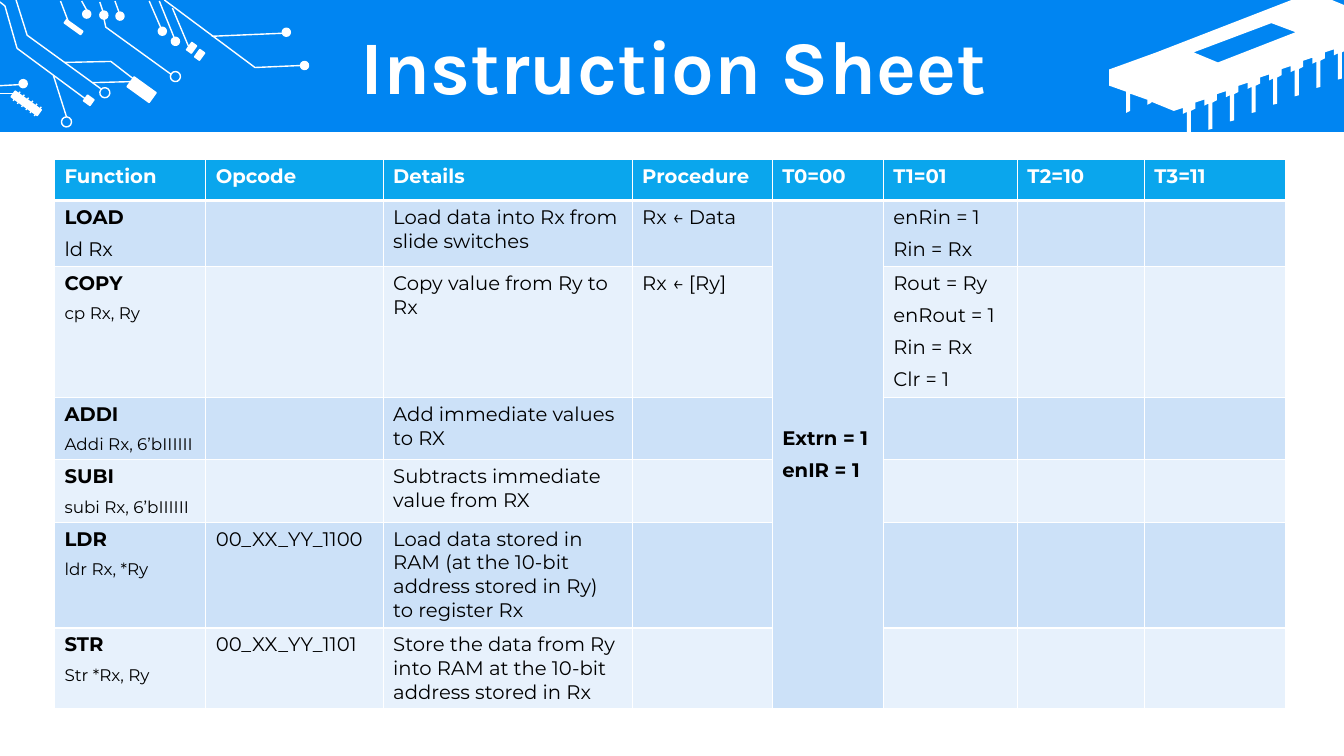
from dataclasses import dataclass
from typing import Any

from lxml import etree
from pptx import Presentation
from pptx import util as u
from pptx.dml.color import RGBColor
from pptx.enum import shapes, text
from pptx.oxml import ns

WHITE = RGBColor(0xFF, 0xFF, 0xFF)
BLACK = RGBColor(0x00, 0x00, 0x00)
BANNER_BLUE = RGBColor(0x00, 0x85, 0xF2)
HEADER_BLUE = RGBColor(0x0A, 0xA6, 0xED)
BAND_DARK = RGBColor(0xCC, 0xE1, 0xF8)
BAND_LIGHT = RGBColor(0xE7, 0xF1, 0xFC)

GRID_COLUMNS, GRID_ROWS = 133.3, 75
GRID_STEP = u.Inches(0.1)
TILT = 35.7
RECTANGLE, OVAL = shapes.MSO_SHAPE.RECTANGLE, shapes.MSO_SHAPE.OVAL
Point = tuple[float, float]


@dataclass(frozen=True)
class Part:
    kind: shapes.MSO_SHAPE
    column: float
    row: float
    columns: float
    rows: float
    fill: RGBColor | None = WHITE
    line: RGBColor | None = WHITE
    rotation: float = TILT


@dataclass(frozen=True)
class Instruction:
    name: str
    syntax: str
    opcode: str
    details: str
    procedure: str
    steps: tuple[str, ...]
    rows: float
    syntax_size: int = 12


@dataclass(frozen=True)
class Line:
    words: str
    size: int = 14
    bold: bool = False
    color: RGBColor = BLACK


BANNER = Part(RECTANGLE, 0, 0, GRID_COLUMNS, 13.1, BANNER_BLUE, None, 0)
PADS = [(29.8, 6.1), (28, 2.8), (8.2, 1), (9.9, 1.1), (11.5, 1.2),
        (1.9, 7.9), (17, 3.7), (15.7, 2.7)]
RINGS = [(16.9, 7.1), (9.9, 8.7), (6.1, 11.6)]
BLOCKS = [(12.7, 8.3, 2.7, 1.2), (6.3, 2.5, 2, 0.4), (8.4, 9.6, 0.8, 0.7),
          (18.7, 4.3, 0.6, 0.9), (19.5, 5, 0.6, 0.9), (1, 9.9, 3.2, 0.7)]
PARTS = ([Part(RECTANGLE, *block) for block in BLOCKS]
         + [Part(OVAL, *pad, 0.8, 0.8) for pad in PADS]
         + [Part(OVAL, *ring, 1, 1, None) for ring in RINGS])

WIRES = [((6, 0.1), (6.8, 2.2)), ((8.1, 0.1), (8.6, 1)), ((9.9, 0.2), (10.2, 1.1)),
         ((11.4, 0.1), (11.8, 1.2)), ((14.8, 0.1), (16.1, 3.1)),
         ((15.8, 0.1), (17.3, 3.8)), ((21, 3.6), (28, 3.3)), ((17.1, 0.8), (18.7, 4.6)),
         ((0, 8.5), (1.9, 8.4)), ((0, 9.3), (1.4, 9.3)), ((5.3, 7.5), (6.6, 11.6)),
         ((9.2, 8.2), (13, 8.1))]
COIL_TURNS = [((1.3 + 0.42 * turn, 10 + 0.3 * turn), (2 + 0.42 * turn, 9.1 + 0.3 * turn))
              for turn in range(6)]
TRACES = [[(16.3, 0), (25.3, 6.7), (29.9, 6.5)],
          [(1.6, 0), (2.7, 3.5), (10, 8.8)],
          [(0, 0.2), (0.5, 0.6), (1.7, 4.8), (8.6, 9.9)],
          [(6.4, 6.2), (11, 6.1), (13.2, 7.8)],
          [(10.3, 1.8), (10.5, 2.7), (17, 7.4)]]

CHIP_WINDOW = [(126.1, 2.3), (118.4, 5.2), (120.8, 6.2), (128.5, 3.2)]
CHIP_TOP = [(114.7, 5.2), (128.1, 0), (132.1, 0), (133.3, 0.5), (133.3, 5.1)]
CHIP_PIN = [(133.1, 5.2), (133.1, 7.8), (132.7, 7.9), (132.7, 5.3),
            (132.3, 5.5), (132.3, 4.9), (131.4, 5.2), (131.4, 5.8)]
CHIP_PINS = [(x - 2.14 * pin, y + 0.83 * pin) for pin in range(8) for x, y in CHIP_PIN][:-1]
CHIP_END = [(114.2, 10.1), (114.2, 10.2), (113.8, 10.4), (113.8, 9.9), (112.1, 9.3),
            (112.1, 11), (111.7, 11.2), (111.7, 9.1), (110, 8.5), (110, 6.9)]

TABLE_COLUMNS = {"Function": 15, "Opcode": 17.6, "Details": 24.7, "Procedure": 13.9,
                 "T0=00": 11, "T1=01": 13.3, "T2=10": 12.6, "T3=11": 14}
HEADER_ROWS = 4.1
FETCH_COLUMN = 4
FETCH_STEPS = ("Extrn = 1", "enIR = 1")
INSTRUCTIONS = [
    Instruction("LOAD", "ld Rx", "", "Load data into Rx from slide switches", "Rx ← Data",
                ("enRin = 1", "Rin = Rx"), 6.5, 14),
    Instruction("COPY", "cp Rx, Ry", "", "Copy value from Ry to Rx", "Rx ← [Ry]",
                ("Rout = Ry", "enRout = 1", "Rin = Rx", "Clr = 1"), 13),
    Instruction("ADDI", "Addi Rx, 6’bIIIIII", "", "Add immediate values to RX", "", (), 6.2),
    Instruction("SUBI", "subi Rx, 6’bIIIIII", "", "Subtracts immediate value from RX",
                "", (), 6.2),
    Instruction("LDR", "ldr Rx, *Ry", "00_XX_YY_1100",
                "Load data stored in RAM (at the 10-bit address stored in Ry) to register Rx",
                "", (), 10.5),
    Instruction("STR", "Str *Rx, Ry", "00_XX_YY_1101",
                "Store the data from Ry into RAM at the 10-bit address stored in Rx",
                "", (), 8),
]


def grid(*cells: float) -> list[u.Emu]:
    return [u.Emu(round(cell * GRID_STEP)) for cell in cells]


def apply_format(target: Any, values: dict[str, Any]) -> None:
    for name, value in values.items():
        setattr(target, name, value)


def paint(shape: Any, fill: RGBColor | None, line: RGBColor | None) -> None:
    shape.shadow.inherit = False
    if fill is None:
        shape.fill.background()
    else:
        shape.fill.solid()
        shape.fill.fore_color.rgb = fill
    if line is None:
        shape.line.fill.background()
    else:
        shape.line.color.rgb = line
        shape.line.width = u.Pt(1)


def draw_part(slide: Any, part: Part) -> None:
    place = grid(part.column, part.row, part.columns, part.rows)
    shape = slide.shapes.add_shape(part.kind, *place)
    shape.rotation = part.rotation
    paint(shape, part.fill, part.line)


def draw_wire(slide: Any, start: Point, end: Point) -> None:
    wire = slide.shapes.add_connector(shapes.MSO_CONNECTOR.STRAIGHT, *grid(*start, *end))
    wire.line.color.rgb = WHITE
    wire.line.width = u.Pt(1)
    etree.SubElement(wire._element.spPr, ns.qn("a:effectLst"))


def draw_outline(slide: Any, contours: list[list[Point]], closed: bool) -> None:
    builder = slide.shapes.build_freeform(*grid(*contours[0][0]))
    for index, contour in enumerate(contours):
        if index:
            builder.move_to(*grid(*contour[0]))
        builder.add_line_segments([grid(*point) for point in contour[1:]], close=closed)
    shape = builder.convert_to_shape()
    paint(shape, WHITE if closed else None, None if closed else WHITE)


def draw_title(slide: Any) -> None:
    frame = slide.shapes.add_textbox(*grid(3.5, 3, 126.6, 7.9)).text_frame
    apply_format(frame, {"word_wrap": True, "vertical_anchor": text.MSO_ANCHOR.MIDDLE})
    paragraph = frame.paragraphs[0]
    apply_format(paragraph, {"text": "Instruction Sheet", "line_spacing": 0.9,
                             "alignment": text.PP_ALIGN.CENTER})
    apply_format(paragraph.font, {"name": "Karla", "size": u.Pt(54), "bold": True})
    paragraph.font.color.rgb = WHITE


def fill_cell(cell: Any, lines: list[Line], fill: RGBColor, bottom: int = 1) -> None:
    properties = cell._tc.get_or_add_tcPr()
    for side, width in {"lnL": 1, "lnR": 1, "lnT": 1, "lnB": bottom}.items():
        border = etree.SubElement(properties, ns.qn(f"a:{side}"), w=str(u.Pt(width)))
        solid = etree.SubElement(border, ns.qn("a:solidFill"))
        etree.SubElement(solid, ns.qn("a:srgbClr"), val=str(WHITE))
    cell.fill.solid()
    cell.fill.fore_color.rgb = fill
    for index, line in enumerate(lines):
        frame = cell.text_frame
        paragraph = frame.add_paragraph() if index else frame.paragraphs[0]
        paragraph.text = line.words
        paragraph.space_before = u.Pt(6 if index else 0)
        apply_format(paragraph.font, {"name": "Montserrat", "size": u.Pt(line.size),
                                      "bold": line.bold})
        paragraph.font.color.rgb = line.color


def draw_table(slide: Any) -> None:
    heights = [HEADER_ROWS] + [instruction.rows for instruction in INSTRUCTIONS]
    place = grid(5.4, 15.8, sum(TABLE_COLUMNS.values()), sum(heights))
    table = slide.shapes.add_table(len(heights), len(TABLE_COLUMNS), *place).table
    for row, height in zip(table.rows, grid(*heights)):
        row.height = height
    for index, (heading, width) in enumerate(TABLE_COLUMNS.items()):
        table.columns[index].width = grid(width)[0]
        fill_cell(table.cell(0, index), [Line(heading, bold=True, color=WHITE)],
                  HEADER_BLUE, 3)
    for row, item in enumerate(INSTRUCTIONS, 1):
        function = [Line(item.name, bold=True), Line(item.syntax, item.syntax_size)]
        plain = [[Line(words)] if words else []
                 for words in (item.opcode, item.details, item.procedure)]
        fetch = [Line(step, bold=True) for step in FETCH_STEPS] if row == 1 else []
        steps = [Line(step) for step in item.steps]
        for column, lines in enumerate([function, *plain, fetch, steps, [], []]):
            banded = row % 2 == 0 and column != FETCH_COLUMN
            fill_cell(table.cell(row, column), lines, BAND_LIGHT if banded else BAND_DARK)
    fetch_cell = table.cell(1, FETCH_COLUMN)
    fetch_cell.merge(table.cell(len(INSTRUCTIONS), FETCH_COLUMN))
    fetch_cell.vertical_anchor = text.MSO_ANCHOR.MIDDLE


def main() -> None:
    presentation = Presentation()
    width, height = grid(GRID_COLUMNS, GRID_ROWS)
    apply_format(presentation, {"slide_width": width, "slide_height": height})
    slide = presentation.slides.add_slide(presentation.slide_layouts[6])
    draw_part(slide, BANNER)
    draw_outline(slide, [CHIP_WINDOW, CHIP_TOP + CHIP_PINS + CHIP_END], True)
    for part in PARTS:
        draw_part(slide, part)
    for start, end in WIRES + COIL_TURNS:
        draw_wire(slide, start, end)
    for trace in TRACES:
        draw_outline(slide, [trace], False)
    draw_title(slide)
    draw_table(slide)
    presentation.save("out.pptx")


if __name__ == "__main__":
    main()
